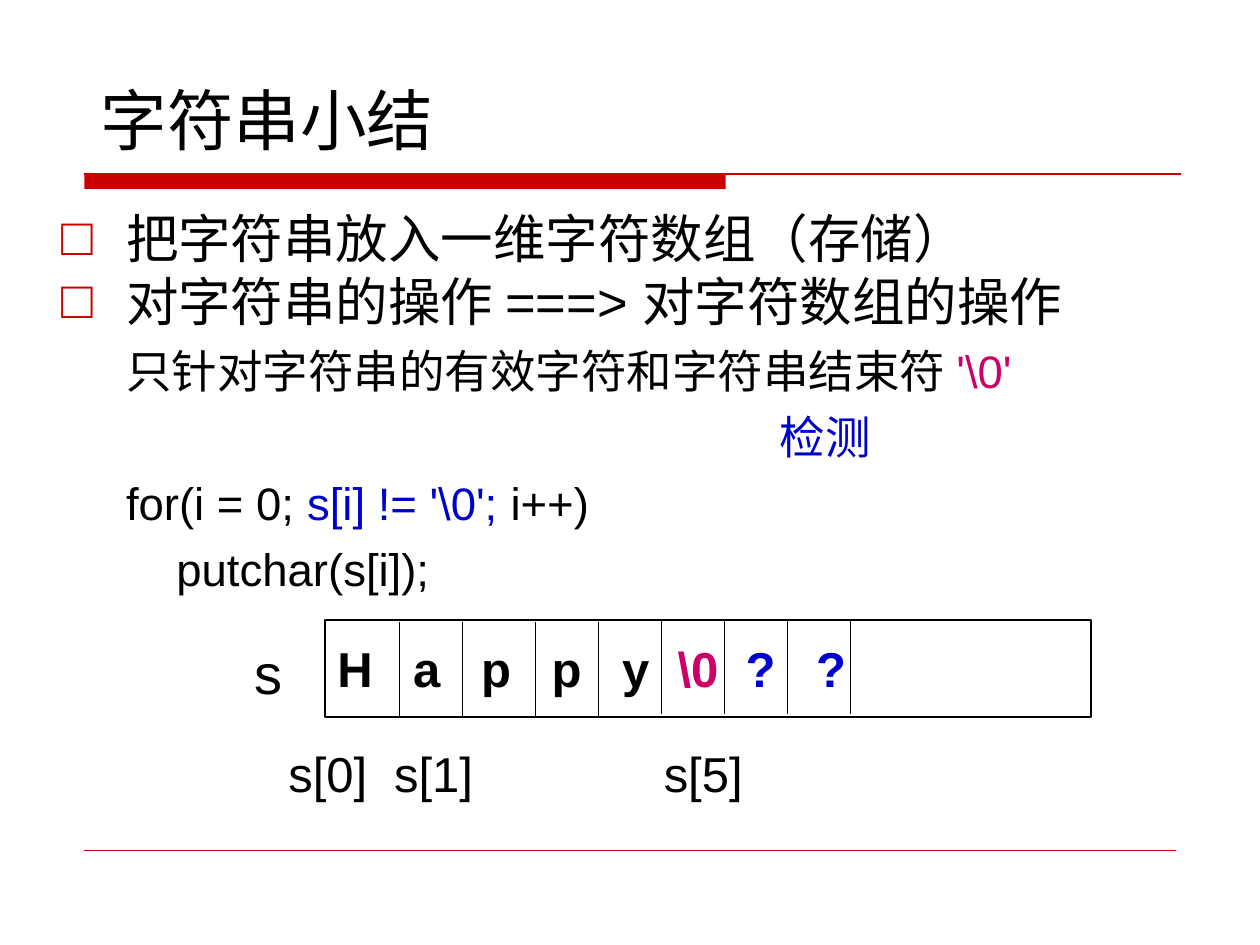
from lxml.etree import SubElement
from pptx import Presentation
from pptx.dml.color import RGBColor
from pptx.enum.shapes import MSO_CONNECTOR, MSO_SHAPE
from pptx.enum.text import MSO_ANCHOR, MSO_AUTO_SIZE, PP_ALIGN
from pptx.oxml.ns import qn
from pptx.util import Inches, Pt

FONT = "Arial"
BLACK, RED, PINK, BLUE = "000000", "CC0000", "CC0066", "0000CC"

TITLE = "字符串小结"
BULLETS = ["把字符串放入一维字符数组（存储）", "对字符串的操作 ===> 对字符数组的操作"]
DETAILS = [
    (0.51, [("只针对字符串的有效字符和字符串结束符 ", BLACK), ("'\\0'", PINK)]),
    (5.7, [("检测", BLUE)]),
    (0.51, [("for(i = 0; ", BLACK), ("s[i] != '\\0'; ", BLUE), ("i++)", BLACK)]),
    (0.91, [("putchar(s[i]);", BLACK)]),
]
CHARACTERS = [
    (2.58, "H", BLACK), (3.18, "a", BLACK), (3.72, "p", BLACK), (4.28, "p", BLACK),
    (4.84, "y", BLACK), (5.28, "\\0", PINK), (5.82, "?", BLUE), (6.38, "?", BLUE),
]
INDEXES = [(2.19, "s[0]"), (3.03, "s[1]"), (5.17, "s[5]")]
DIVIDERS = [(4.94, [3.17, 3.67, 4.25, 4.75]), (4.92, [5.25, 5.75, 6.25, 6.75])]
DIVIDER_HEIGHT = 0.75


def color(value):
    return RGBColor.from_string(value)


def write(paragraph, runs, size, bold=False, margin=0, hanging=0, bullet=None,
          before=0, spacing=1.0):
    properties = paragraph._p.get_or_add_pPr()
    properties.set("marL", str(Inches(margin)))
    properties.set("indent", str(Inches(-hanging)))
    if bullet:
        bullet_color = SubElement(properties, qn("a:buClr"))
        SubElement(bullet_color, qn("a:srgbClr"), val=RED)
        SubElement(properties, qn("a:buFont"), typeface=FONT)
        SubElement(properties, qn("a:buChar"), char=bullet)
    else:
        SubElement(properties, qn("a:buNone"))
    paragraph.alignment = PP_ALIGN.LEFT
    paragraph.line_spacing = spacing
    paragraph.space_before = Pt(before)
    for text, run_color in runs:
        run = paragraph.add_run()
        run.text = text
        run.font.name = FONT
        run.font.size = Pt(size)
        run.font.bold = bold
        run.font.color.rgb = color(run_color)


def place(shape, left, top, width, height):
    shape.left, shape.top = Inches(left), Inches(top)
    shape.width, shape.height = Inches(width), Inches(height)


def add_text(slide, box, text, size, text_color=BLACK, **formatting):
    shape = slide.shapes.add_textbox(*map(Inches, box))
    shape.text_frame.word_wrap = True
    write(shape.text_frame.paragraphs[0], [(text, text_color)], size, **formatting)


def add_line(slide, start, end, line_color, width):
    line = slide.shapes.add_connector(
        MSO_CONNECTOR.STRAIGHT, *map(Inches, (*start, *end)))
    line.line.color.rgb = color(line_color)
    line.line.width = Pt(width)
    SubElement(line._element.spPr, qn("a:effectLst"))


def add_rectangle(slide, box, fill=None, line=None):
    shape = slide.shapes.add_shape(MSO_SHAPE.RECTANGLE, *map(Inches, box))
    shape.shadow.inherit = False
    if fill:
        shape.fill.solid()
        shape.fill.fore_color.rgb = color(fill)
    else:
        shape.fill.background()
    if line:
        shape.line.color.rgb = color(line)
        shape.line.width = Pt(1)
    else:
        shape.line.fill.background()


def add_title(slide):
    title = slide.shapes.title
    place(title, 0.7, 0.31, 3.56, 1)
    title.text_frame.auto_size = MSO_AUTO_SIZE.NONE
    title.text_frame.vertical_anchor = MSO_ANCHOR.BOTTOM
    write(title.text_frame.paragraphs[0], [(TITLE, BLACK)], 38)


def add_body(slide):
    body = slide.placeholders[1]
    place(body, 0.39, 1.68, 9.08, 3.2)
    frame = body.text_frame
    frame.auto_size = MSO_AUTO_SIZE.NONE
    for index, text in enumerate(BULLETS):
        paragraph = frame.add_paragraph() if index else frame.paragraphs[0]
        write(paragraph, [(text, BLACK)], 30, margin=0.51, hanging=0.51, bullet="□",
              before=7.5 if index else 0, spacing=0.8)
    for margin, runs in DETAILS:
        write(frame.add_paragraph(), runs, 26, margin=margin, before=6.5)


def add_array(slide):
    add_rectangle(slide, (2.58, 4.92, 6.08, 0.77), line=BLACK)
    for top, positions in DIVIDERS:
        for left in positions:
            add_line(slide, (left, top), (left, top + DIVIDER_HEIGHT), BLACK, 1)
    add_text(slide, (1.92, 5.02, 0.58, 0.63), "s", 32)
    for left, text, text_color in CHARACTERS:
        add_text(slide, (left, 5.02, 0.6, 0.56), text, 28, text_color, bold=True)
    for left, text in INDEXES:
        add_text(slide, (left, 5.85, 0.9, 0.56), text, 28)


def main():
    presentation = Presentation()
    presentation.slide_width, presentation.slide_height = Inches(10), Inches(7.5)
    slide = presentation.slides.add_slide(presentation.slide_layouts[1])
    add_rectangle(slide, (0.67, 1.38, 5.09, 0.12), fill=RED)
    add_line(slide, (0.67, 1.38), (9.37, 1.38), RED, 0.75)
    add_line(slide, (0.67, 6.75), (9.33, 6.75), RED, 0.25)
    add_title(slide)
    add_body(slide)
    add_array(slide)
    presentation.save("out.pptx")


if __name__ == "__main__":
    main()
